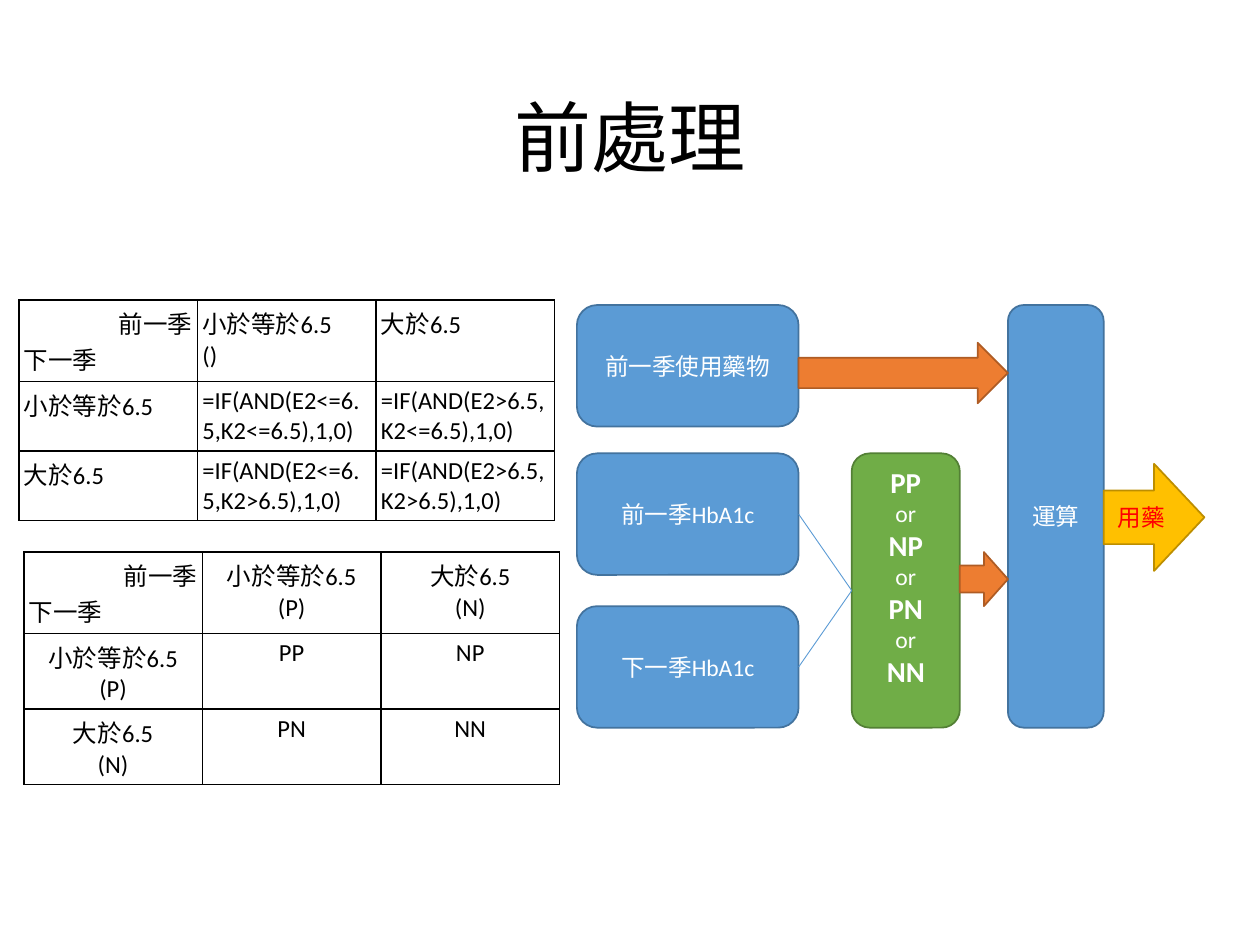
from lxml import etree
from pptx import Presentation
from pptx.dml.color import RGBColor
from pptx.enum.shapes import MSO_CONNECTOR, MSO_SHAPE
from pptx.enum.text import MSO_ANCHOR, PP_ALIGN
from pptx.oxml.ns import qn
from pptx.util import Cm, Pt

LEFT, CENTER, RIGHT = PP_ALIGN.LEFT, PP_ALIGN.CENTER, PP_ALIGN.RIGHT
MIDDLE = MSO_ANCHOR.MIDDLE
ROUNDED, ARROW = MSO_SHAPE.ROUNDED_RECTANGLE, MSO_SHAPE.RIGHT_ARROW
STRAIGHT = MSO_CONNECTOR.STRAIGHT
TITLE_ONLY = 5
FONT = "Calibri"
COLORS = {
    "black": "000000", "white": "FFFFFF", "red": "FF0000",
    "blue": "5B9BD5", "blue_edge": "43739E",
    "green": "70AD47", "green_edge": "538035",
    "orange": "ED7D31", "orange_edge": "AF5C24",
    "gold": "FFC000", "gold_edge": "BD8E00",
}

# Slide positions in centimetres
BOX_LEFT, BOX_WIDTH, BOX_HEIGHT = 11.63, 4.47, 2.45
BOX_RIGHT = BOX_LEFT + BOX_WIDTH
BOX_TOPS = {"前一季使用藥物": 6.15, "前一季HbA1c": 9.14, "下一季HbA1c": 12.22}
RESULT_LEFT, RESULT_WIDTH = 17.17, 2.18
COMPUTE_LEFT, COMPUTE_WIDTH = 20.32, 1.93
FLOW_BOTTOM = 14.67

LOW, HIGH, CORNER = "小於等於6.5", "大於6.5", "前一季\n下一季"
FORMULA_TABLE = [
    [CORNER, LOW + "\n()", HIGH],
    [LOW, "=IF(AND(E2<=6.5,K2<=6.5),1,0)", "=IF(AND(E2>6.5,K2<=6.5),1,0)"],
    [HIGH, "=IF(AND(E2<=6.5,K2>6.5),1,0)", "=IF(AND(E2>6.5,K2>6.5),1,0)"],
]
CODE_TABLE = [
    [CORNER, LOW + "\n(P)", HIGH + "\n(N)"],
    [LOW + "\n(P)", "PP", "NP"],
    [HIGH + "\n(N)", "PN", "NN"],
]


def rgb(name):
    return RGBColor.from_string(COLORS[name])


def write_text(frame, text, size=13.5, color="white", aligns=(CENTER,),
               strong_size=None, spacing=None):
    """Write one paragraph a line; strong_size makes every other line bold."""
    for index, line in enumerate(text.split("\n")):
        paragraph = frame.paragraphs[0] if index == 0 else frame.add_paragraph()
        paragraph.alignment = aligns[index % len(aligns)]
        if spacing:
            paragraph.line_spacing = spacing
        strong = strong_size is not None and index % 2 == 0
        run = paragraph.add_run()
        run.text = line
        run.font.name = FONT
        run.font.size = Pt(strong_size if strong else size)
        run.font.bold = strong
        run.font.color.rgb = rgb(color)


def add_block(slide, kind, left, top, width, height, fill, text="",
              margin_bottom=0.1, **text_format):
    shape = slide.shapes.add_shape(kind, Cm(left), Cm(top), Cm(width), Cm(height))
    shape.shadow.inherit = False
    shape.fill.solid()
    shape.fill.fore_color.rgb = rgb(fill)
    shape.line.color.rgb = rgb(fill + "_edge")
    shape.line.width = Pt(1)
    if text:
        frame = shape.text_frame
        frame.word_wrap = True
        frame.vertical_anchor = MIDDLE
        frame.margin_left = frame.margin_right = Cm(0.19)
        frame.margin_top, frame.margin_bottom = Cm(0.1), Cm(margin_bottom)
        write_text(frame, text, **text_format)


def add_line(slide, start_x, start_y, end_x, end_y):
    line = slide.shapes.add_connector(
        STRAIGHT, Cm(start_x), Cm(start_y), Cm(end_x), Cm(end_y))
    line.line.color.rgb = rgb("blue")
    line.line.width = Pt(0.5)
    etree.SubElement(line._element.spPr, qn("a:effectLst"))


def set_borders(cell):
    properties = cell._tc.get_or_add_tcPr()
    for side in ("a:lnL", "a:lnR", "a:lnT", "a:lnB"):
        border = etree.SubElement(properties, qn(side), w=str(Pt(1)))
        fill = etree.SubElement(border, qn("a:solidFill"))
        etree.SubElement(fill, qn("a:srgbClr"), val=COLORS["black"])


def add_grid(slide, left, top, rows, align):
    frame = slide.shapes.add_table(
        len(rows), len(rows[0]), Cm(left), Cm(top), Cm(10.8), Cm(3.99))
    table = frame.table
    table.first_row = table.horz_banding = False
    for row_index, row in enumerate(rows):
        for column_index, text in enumerate(row):
            cell = table.cell(row_index, column_index)
            cell.margin_left = cell.margin_right = Cm(0.1)
            cell.margin_top = cell.margin_bottom = Cm(0.1)
            set_borders(cell)
            cell.fill.background()
            aligns = (RIGHT, LEFT) if text == CORNER else (align,)
            write_text(cell.text_frame, text, size=14, color="black", aligns=aligns)


def add_title(slide, text):
    title = slide.shapes.title
    title.left, title.top, title.width, title.height = (
        Cm(1.75), Cm(1.01), Cm(21.9), Cm(3.68))
    title.text_frame.vertical_anchor = MIDDLE
    write_text(title.text_frame, text, size=44, color="black", spacing=0.9)


def add_flow(slide):
    # Input boxes
    for text, top in BOX_TOPS.items():
        add_block(slide, ROUNDED, BOX_LEFT, top, BOX_WIDTH, BOX_HEIGHT, "blue", text)

    # Combined result, fed by the two HbA1c boxes
    result_top = BOX_TOPS["前一季HbA1c"]
    result_height = FLOW_BOTTOM - result_top
    add_block(slide, ROUNDED, RESULT_LEFT, result_top, RESULT_WIDTH, result_height,
              "green", "PP\nor\nNP\nor\nPN\nor\nNN", strong_size=16.5,
              margin_bottom=0.68)
    for name in ("前一季HbA1c", "下一季HbA1c"):
        add_line(slide, BOX_RIGHT, BOX_TOPS[name] + BOX_HEIGHT / 2,
                 RESULT_LEFT, result_top + result_height / 2)

    # Computation and the arrows around it
    compute_top = BOX_TOPS["前一季使用藥物"]
    add_block(slide, ROUNDED, COMPUTE_LEFT, compute_top, COMPUTE_WIDTH,
              FLOW_BOTTOM - compute_top, "blue", "運算")
    result_right = RESULT_LEFT + RESULT_WIDTH
    for left, top, height in ((result_right, 11.13, 1.09), (BOX_RIGHT, 6.91, 1.22)):
        add_block(slide, ARROW, left, top, COMPUTE_LEFT - left, height, "orange")
    add_block(slide, ARROW, COMPUTE_LEFT + COMPUTE_WIDTH, 9.35, 2.03, 2.16,
              "gold", "用藥", color="red")


def main():
    presentation = Presentation()
    presentation.slide_width, presentation.slide_height = Cm(25.4), Cm(19.05)
    slide = presentation.slides.add_slide(presentation.slide_layouts[TITLE_ONLY])
    add_title(slide, "前處理")
    add_grid(slide, 0.38, 6.05, FORMULA_TABLE, LEFT)
    add_grid(slide, 0.48, 11.13, CODE_TABLE, CENTER)
    add_flow(slide)
    presentation.save("out.pptx")


main()
